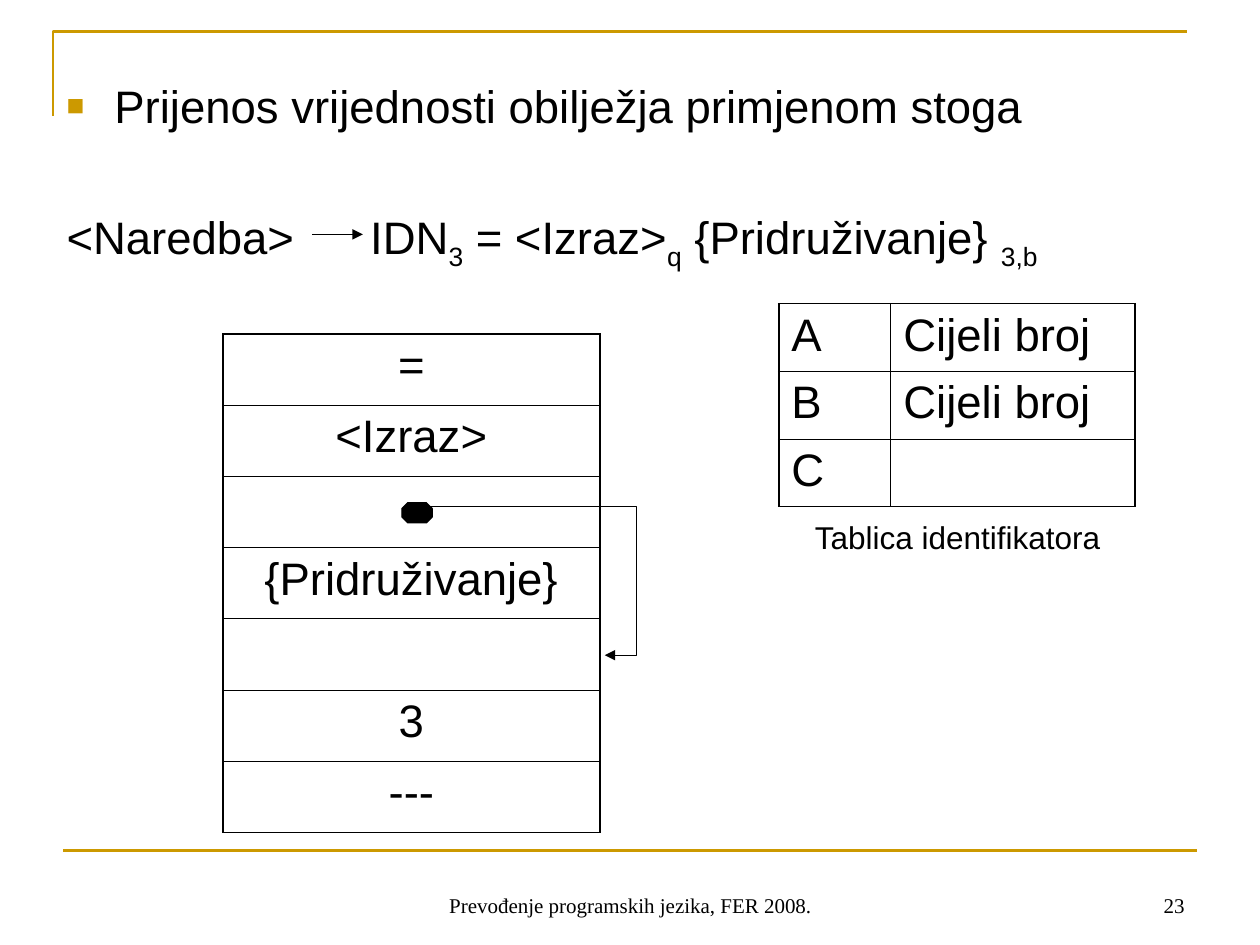
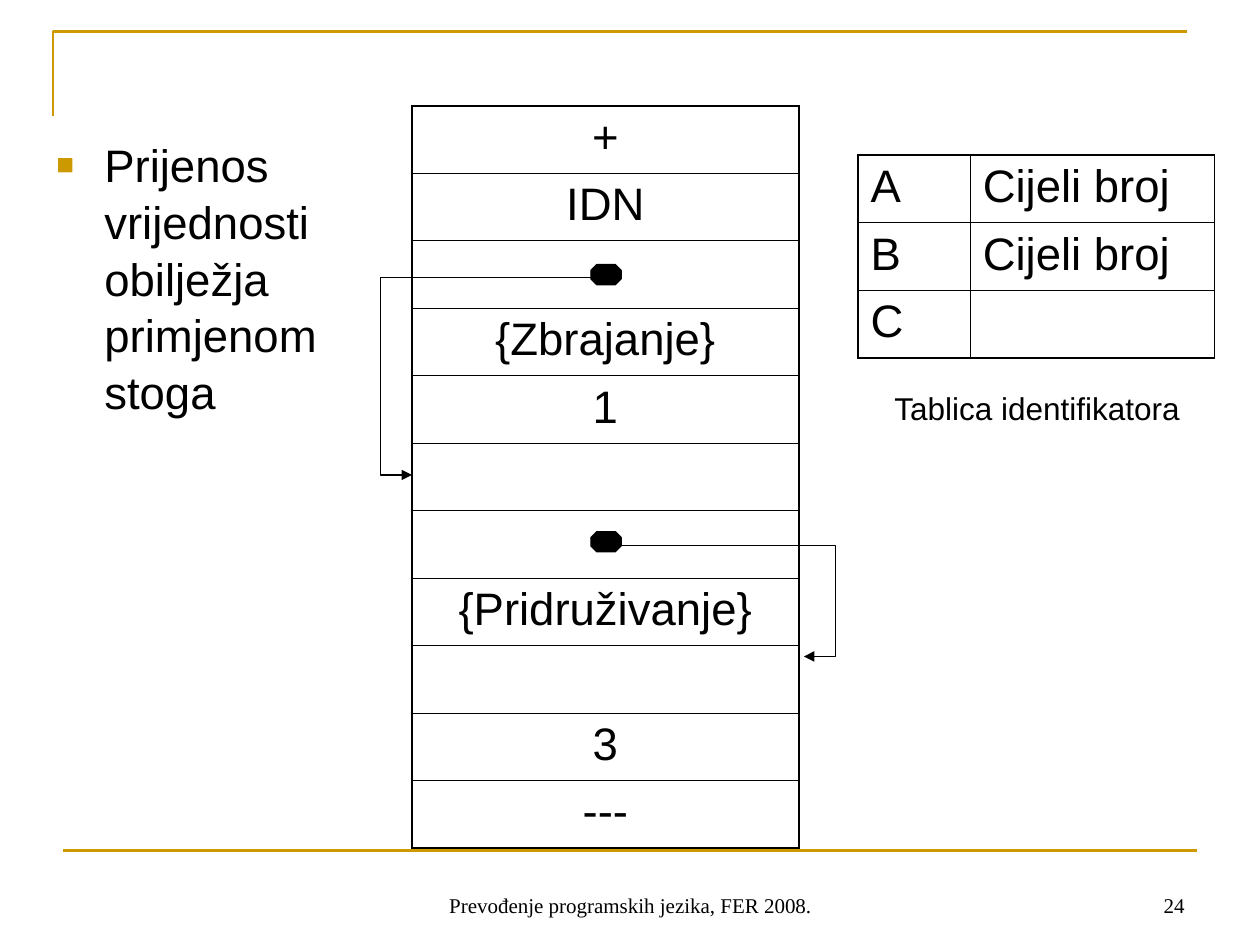
from lxml import etree
from pptx import Presentation
from pptx.dml.color import RGBColor
from pptx.enum.shapes import MSO_CONNECTOR, MSO_SHAPE
from pptx.enum.text import MSO_ANCHOR, PP_ALIGN
from pptx.oxml.ns import qn
from pptx.util import Inches, Pt

GOLD = RGBColor(0xCC, 0x99, 0x00)
BLACK = RGBColor(0, 0, 0)
SANS, SERIF = "Arial", "Times New Roman"
LEFT, MID, RIGHT = PP_ALIGN.LEFT, PP_ALIGN.CENTER, PP_ALIGN.RIGHT
TOP, LOW = MSO_ANCHOR.TOP, MSO_ANCHOR.BOTTOM
LINE, ELBOW = MSO_CONNECTOR.STRAIGHT, MSO_CONNECTOR.ELBOW
THICK, THIN = 1.08, 0.45
DOT = "●"

TITLE = "Prijenos vrijednosti obilježja primjenom stoga"
FOOT = "Prevođenje programskih jezika, FER 2008."
NAMES = [["A", "Cijeli broj"], ["B", "Cijeli broj"], ["C", ""]]
RULE = [("<Naredba>\tIDN", 0), ("3", -25), (" = <Izraz>", 0), ("q", -25),
        (" {Pridruživanje} ", 0), ("3,b", -25)]

# stack: left, top, width, height; arrow: start, end, x of the bend
PAGES = [
    dict(num="23", body=(0.43, 0.52, 9.06, 4.95), rule=RULE,
         names=(6.18, 2.41), note=(6.34, 4.06), stack=(1.77, 2.65, 2.99, 3.96),
         items=["=", "<Izraz>", "", "{Pridruživanje}", "", "3", "---"],
         dots=[(3.19, 3.99)],
         arrows=[(LINE, 2.48, 1.86, 2.88, 1.86, None),
                 (ELBOW, 3.35, 4.02, 4.8, 5.2, 5.05)]),
    dict(num="24", body=(0.35, 0.99, 3.23, 4.95), rule=[],
         names=(6.81, 1.23), note=(6.97, 3.04), stack=(3.27, 0.84, 3.07, 5.89),
         items=["+", "IDN", "", "{Zbrajanje}", "1", "", "",
                "{Pridruživanje}", "", "3", "---"],
         dots=[(4.69, 4.22), (4.69, 2.1)],
         arrows=[(ELBOW, 4.8, 2.2, 3.27, 3.77, 3.02),
                 (ELBOW, 4.84, 4.33, 6.38, 5.21, 6.63)]),
]


def put(par, words, size=26, face=SANS, base=0):
    """Add one run; base is the shift from the baseline in percent."""
    run = par.add_run()
    run.text = words
    run.font.size = Pt(size)
    run.font.name = face
    run.font.color.rgb = BLACK
    if base:
        run.font._element.set("baseline", str(base * 1000))


def label(slide, area, words, size, face=SANS, align=LEFT, anchor=TOP):
    """Add a wrapping text box and return its text frame."""
    frame = slide.shapes.add_textbox(*map(Inches, area)).text_frame
    frame.word_wrap = True
    frame.vertical_anchor = anchor
    par = frame.paragraphs[0]
    par.alignment = align
    put(par, words, size, face)
    return frame


deck = Presentation()
deck.slide_width, deck.slide_height = Inches(10), Inches(7.5)

for page in PAGES:
    slide = deck.slides.add_slide(deck.slide_layouts[6])
    shapes = slide.shapes

    # Gold corner
    pen = shapes.build_freeform(Inches(0.42), Inches(0.92))
    pen.add_line_segments([(Inches(0.42), Inches(0.25)),
                           (Inches(9.42), Inches(0.25))], close=False)
    edge = pen.convert_to_shape()
    edge.shadow.inherit = False
    edge.fill.background()
    edge.line.color.rgb = GOLD
    edge.line.width = Pt(1.5)

    # Bulleted heading and grammar rule
    frame = label(slide, page["body"], TITLE, 26)
    frame.margin_top = Inches(0.08)
    par = frame.paragraphs[0]
    par.line_spacing = 1.04
    props = par._p.get_or_add_pPr()
    props.set("marL", str(Inches(0.38)))
    props.set("indent", str(-Inches(0.38)))
    tint = etree.SubElement(props, qn("a:buClr"))
    etree.SubElement(tint, qn("a:srgbClr"), val=str(GOLD))
    etree.SubElement(props, qn("a:buSzPct"), val="65000")
    etree.SubElement(props, qn("a:buFont"), typeface=SANS)
    etree.SubElement(props, qn("a:buChar"), char="■")
    if page["rule"]:
        par = frame.add_paragraph()
        par.space_before = Pt(44)
        stops = etree.SubElement(par._p.get_or_add_pPr(), qn("a:tabLst"))
        etree.SubElement(stops, qn("a:tab"), pos=str(Inches(2.41)), algn="l")
        for words, base in page["rule"]:
            put(par, words, base=base)

    # Identifier table and stack
    left, top, wide, high = page["stack"]
    stack = [[item] for item in page["items"]]
    for x, y, cols, tall, rows, align in [
            (*page["names"], [0.89, 1.94], 1.61, NAMES, LEFT),
            (left, top, [wide], high, stack, MID)]:
        table = shapes.add_table(len(rows), len(cols), Inches(x), Inches(y),
                                 Inches(sum(cols)), Inches(tall)).table
        table.first_row = table.horz_banding = False
        for col, size in zip(table.columns, cols):
            col.width = Inches(size)
        for r, row in enumerate(rows):
            table.rows[r].height = Inches(tall / len(rows))
            for c, words in enumerate(row):
                cell = table.cell(r, c)
                par = cell.text_frame.paragraphs[0]
                par.alignment = align
                if words:
                    put(par, words)
                props = cell._tc.get_or_add_tcPr()
                outer = {"lnL": c == 0, "lnR": c == len(cols) - 1,
                         "lnT": r == 0, "lnB": r == len(rows) - 1}
                for side, out in outer.items():
                    width = Pt(THICK if out else THIN)
                    line = etree.SubElement(props, qn("a:" + side), w=str(width))
                    fill = etree.SubElement(line, qn("a:solidFill"))
                    etree.SubElement(fill, qn("a:srgbClr"), val=str(BLACK))
                cell.fill.background()

    label(slide, (*page["note"], 2.52, 0.4), "Tablica identifikatora", 18,
          align=MID)

    # Pointers from the stack
    for x, y in page["dots"]:
        dot = shapes.add_shape(MSO_SHAPE.OCTAGON, Inches(x), Inches(y),
                               Inches(0.24), Inches(0.16))
        dot.shadow.inherit = False
        dot.fill.solid()
        dot.fill.fore_color.rgb = BLACK
        dot.line.color.rgb = BLACK
        dot.line.width = Pt(0.75)

    base = (LINE, 0.5, 6.75, 9.5, 6.75, None)
    for item in [base, *page["arrows"]]:
        kind, x1, y1, x2, y2, bend = item
        link = shapes.add_connector(kind, *map(Inches, (x1, y1, x2, y2)))
        link.line.color.rgb = GOLD if item is base else BLACK
        link.line.width = Pt(1.5 if item is base else 0.75)
        props = link._element.spPr
        if item is not base:
            etree.SubElement(link.line._get_or_add_ln(), qn("a:tailEnd"),
                             type="triangle")
        etree.SubElement(props, qn("a:effectLst"))
        if bend:
            ratio = round((bend - x1) / (x2 - x1) * 100000)
            guides = props.find(qn("a:prstGeom")).find(qn("a:avLst"))
            etree.SubElement(guides, qn("a:gd"), name="adj1", fmla=f"val {ratio}")

    # Footer
    label(slide, (3.42, 6.83, 3.17, 0.5), FOOT, 12, SERIF, MID, LOW)
    label(slide, (7.17, 6.83, 2.33, 0.5), page["num"], 12, SERIF, RIGHT, LOW)

deck.save("out.pptx")
